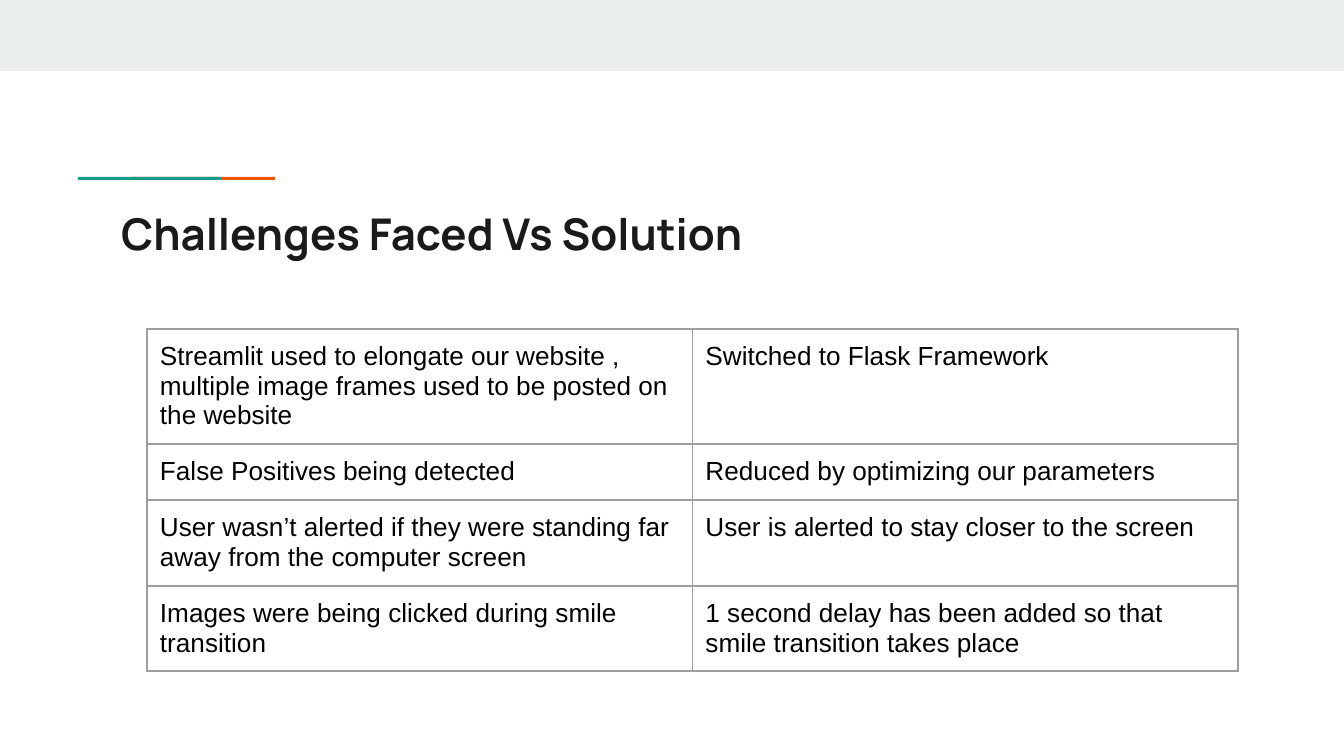
from lxml.etree import SubElement
from pptx import Presentation
from pptx.dml.color import RGBColor
from pptx.enum.shapes import MSO_SHAPE
from pptx.enum.text import MSO_ANCHOR, PP_ALIGN
from pptx.oxml.ns import qn
from pptx.util import Emu, Pt

SCALE = 914400 / 134.4
PAD = 13
MIST = RGBColor(0xE9, 0xED, 0xEE)
TEAL = RGBColor(0x1A, 0x99, 0x88)
RUST = RGBColor(0xEB, 0x56, 0x00)
INK = RGBColor(0x1A, 0x1A, 0x1A)
BLACK = RGBColor(0, 0, 0)
GREY = RGBColor(0x9E, 0x9E, 0x9E)

ROWS = [
    ("Streamlit used to elongate our website , multiple image frames "
     "used to be posted on the website",
     "Switched to Flask Framework"),
    ("False Positives being detected",
     "Reduced by optimizing our parameters"),
    ("User wasn’t alerted if they were standing far away from the computer screen",
     "User is alerted to stay closer to the screen"),
    ("Images were being clicked during smile transition",
     "1 second delay has been added so that smile transition takes place"),
]
HEIGHTS = [115, 56, 86, 85]


def px(count):
    """Turn pixels into EMU."""
    return Emu(round(count * SCALE))


def style(text, font, size, color, bold=False):
    """Format every run of a text frame."""
    for para in text.paragraphs:
        para.alignment = PP_ALIGN.LEFT
        for run in para.runs:
            run.font.name = font
            run.font.size = Pt(size)
            run.font.bold = bold
            run.font.color.rgb = color


def add_bar(slide, box, color):
    """Draw a plain filled bar."""
    bar = slide.shapes.add_shape(MSO_SHAPE.RECTANGLE, *map(px, box))
    bar.shadow.inherit = False
    bar.fill.solid()
    bar.fill.fore_color.rgb = color
    bar.line.fill.background()


def add_accent(slide, box):
    """Draw the two overlapping bars above the title."""
    left, top, width, height = box
    shift = 54
    size = width - shift
    add_bar(slide, (left + shift, top, size, height), RUST)
    add_bar(slide, (left, top, size, height), TEAL)


def set_title(slide, box):
    """Place and format the title."""
    title = slide.shapes.title
    title.left, title.top, title.width, title.height = map(px, box)
    text = title.text_frame
    text.text = "Challenges Faced Vs Solution"
    text.word_wrap = True
    text.vertical_anchor = MSO_ANCHOR.MIDDLE
    text.margin_left = text.margin_right = px(PAD)
    text.margin_top = text.margin_bottom = px(PAD)
    style(text, "Manrope", 23.4, INK, True)


def add_edges(cell):
    """Give a cell thin grey borders on all sides."""
    props = cell._tc.get_or_add_tcPr()
    for place, side in enumerate(("lnL", "lnR", "lnT", "lnB")):
        line = SubElement(props, qn(f"a:{side}"), w=str(Pt(0.75)))
        fill = SubElement(line, qn("a:solidFill"))
        SubElement(fill, qn("a:srgbClr"), val=str(GREY))
        props.insert(place, line)


def add_grid(slide, box):
    """Build the table of challenges and solutions."""
    frame = slide.shapes.add_table(len(ROWS), len(ROWS[0]), *map(px, box))
    table = frame.table
    table.first_row = table.horz_banding = False
    for row, height in zip(table.rows, HEIGHTS):
        row.height = px(height)
    for row, words in zip(table.rows, ROWS):
        for cell, word in zip(row.cells, words):
            cell.text_frame.text = word
            cell.margin_left = cell.margin_right = px(PAD)
            cell.margin_top = cell.margin_bottom = px(PAD)
            cell.fill.background()
            add_edges(cell)
            style(cell.text_frame, "Arial", 14, BLACK)


def main():
    """Build and save the slide."""
    deck = Presentation()
    deck.slide_width, deck.slide_height = px(1344), px(756)
    slide = deck.slides.add_slide(deck.slide_layouts[5])
    add_bar(slide, (0, 0, 1344, 71), MIST)
    add_accent(slide, (78, 177, 197, 3))
    set_title(slide, (108, 194, 1130, 79))
    add_grid(slide, (147, 329, 1091, sum(HEIGHTS)))
    deck.save("out.pptx")


if __name__ == "__main__":
    main()
